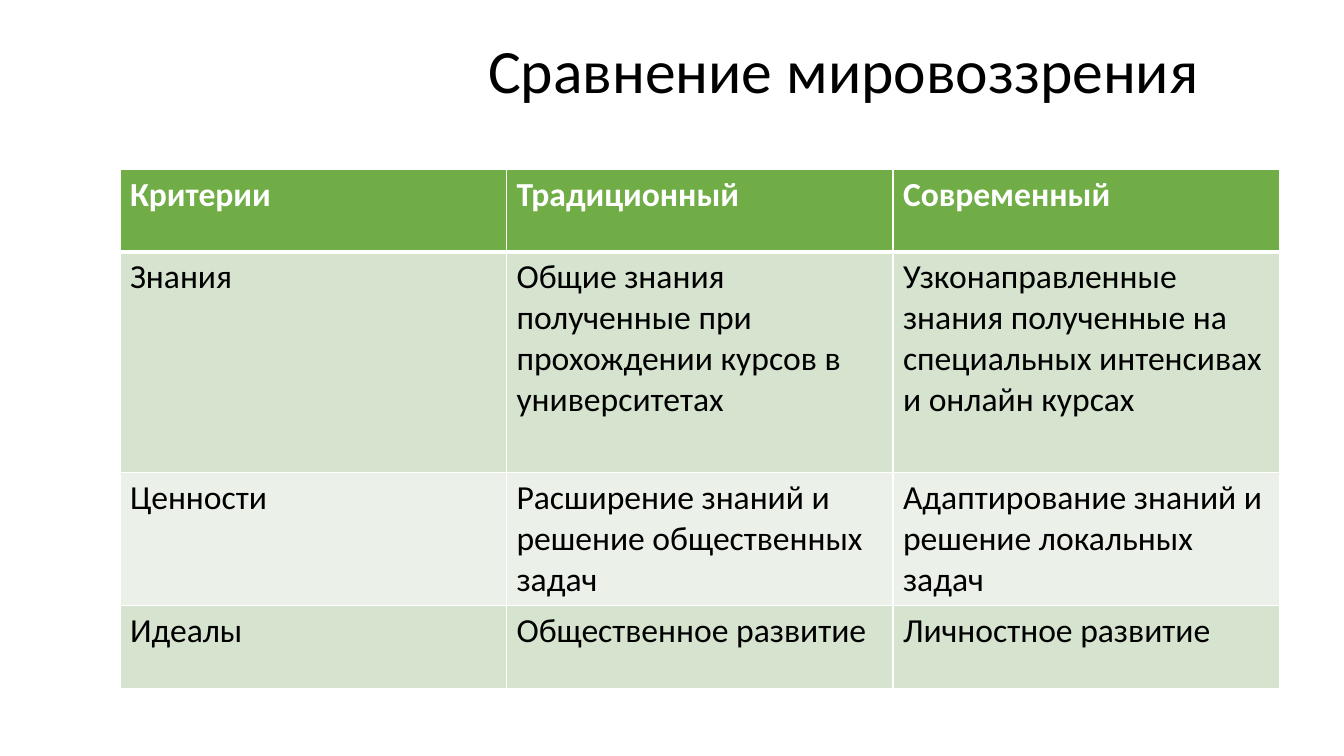
import pptx
import pptx.util
import pptx.dml.color
import pptx.enum.text
import pptx.oxml

Inches, Pt = pptx.util.Inches, pptx.util.Pt

# Content
TITLE = "Сравнение мировоззрения"
ROWS = [
    ("Критерии", "Традиционный", "Современный"),
    ("Знания",
     "Общие знания полученные при прохождении курсов в университетах",
     "Узконаправленные знания полученные на специальных интенсивах и онлайн курсах"),
    ("Ценности",
     "Расширение знаний и решение общественных задач",
     "Адаптирование знаний и решение локальных задач"),
    ("Идеалы", "Общественное развитие", "Личностное развитие"),
]
HEIGHTS = [0.82, 2.19, 0.82, 0.82]
WIDTH = 11.5
HEAD, BANDS = "70AD47", ("EBF1E9", "D5E3CF")
NS = "http://schemas.openxmlformats.org/drawingml/2006/main"


def color(code):
    return pptx.dml.color.RGBColor.from_string(code)


def write(frame, text, size=24, ink="000000", bold=False, space=None):
    para = frame.paragraphs[0]
    para.alignment = pptx.enum.text.PP_ALIGN.LEFT
    para.line_spacing = space
    run = para.add_run()
    run.text = text
    run.font.name = "Calibri"
    run.font.size = Pt(size)
    run.font.bold = bold
    run.font.color.rgb = color(ink)


def border(cell, side, width):
    cell._tc.get_or_add_tcPr().append(pptx.oxml.parse_xml(
        f'<a:ln{side} xmlns:a="{NS}" w="{Pt(width)}"><a:solidFill>'
        f'<a:srgbClr val="FFFFFF"/></a:solidFill></a:ln{side}>'))


# Slide
deck = pptx.Presentation()
deck.slide_width, deck.slide_height = Inches(13.33), Inches(7.5)
slide = deck.slides.add_slide(deck.slide_layouts[5])

# Title
title = slide.shapes.title
title.left, title.top = Inches(4.74), Inches(0.13)
title.width, title.height = Inches(8.12), Inches(1.19)
title.text_frame.vertical_anchor = pptx.enum.text.MSO_ANCHOR.MIDDLE
write(title.text_frame, TITLE, size=44, space=0.9)

# Table
count = len(ROWS[0])
table = slide.shapes.add_table(
    len(ROWS), count, Inches(1.19), Inches(1.68),
    Inches(WIDTH), Inches(sum(HEIGHTS))).table
for col in table.columns:
    col.width = Inches(WIDTH / count)
for r, (texts, height) in enumerate(zip(ROWS, HEIGHTS)):
    table.rows[r].height = Inches(height)
    top = r == 0
    for c, text in enumerate(texts):
        cell = table.cell(r, c)
        for side in "LRTB":
            thick = (top and side == "B") or (r == 1 and side == "T")
            border(cell, side, 3 if thick else 1)
        cell.fill.solid()
        cell.fill.fore_color.rgb = color(HEAD if top else BANDS[r % 2])
        write(cell.text_frame, text, bold=top,
              ink="FFFFFF" if top else "000000")

deck.save("out.pptx")
